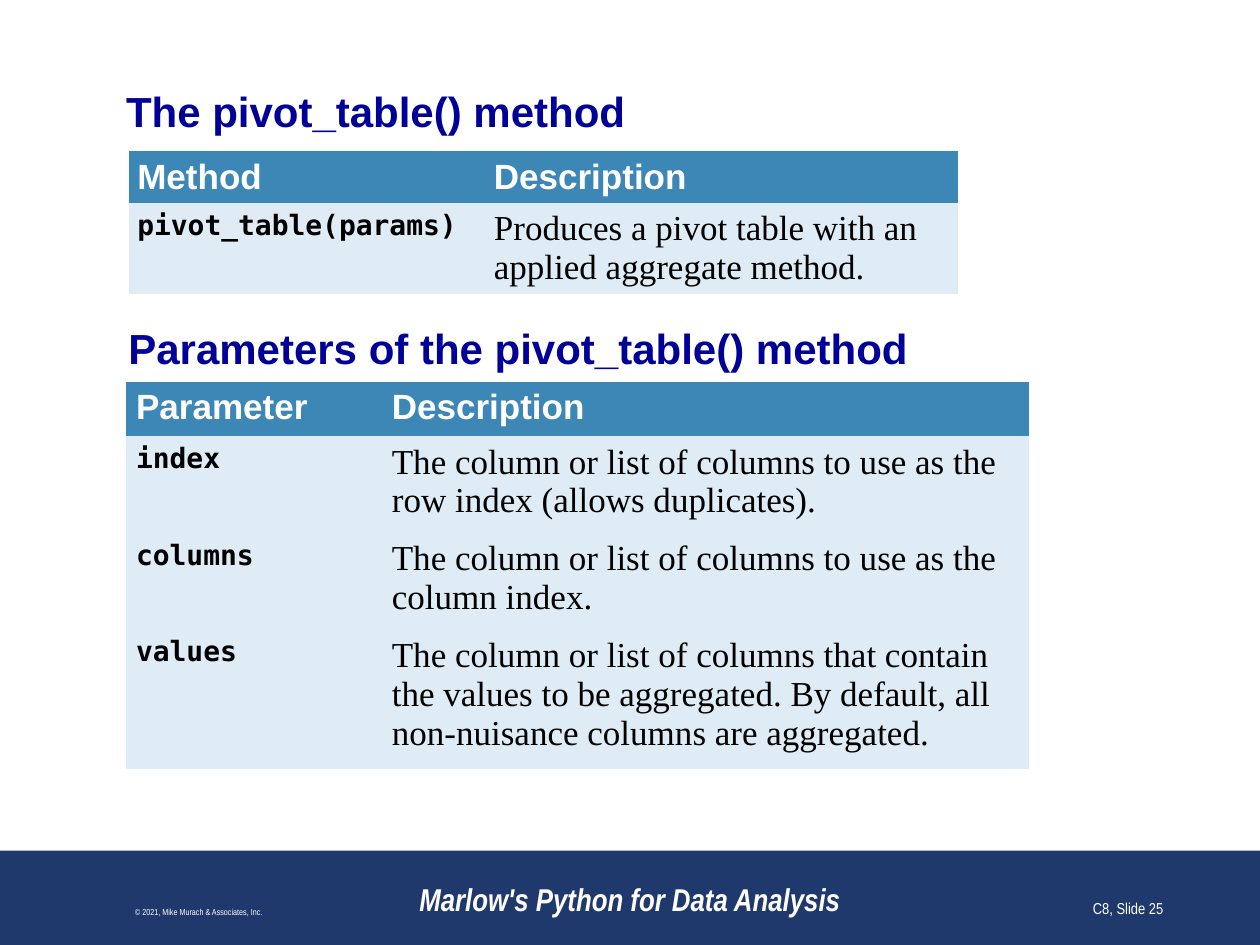
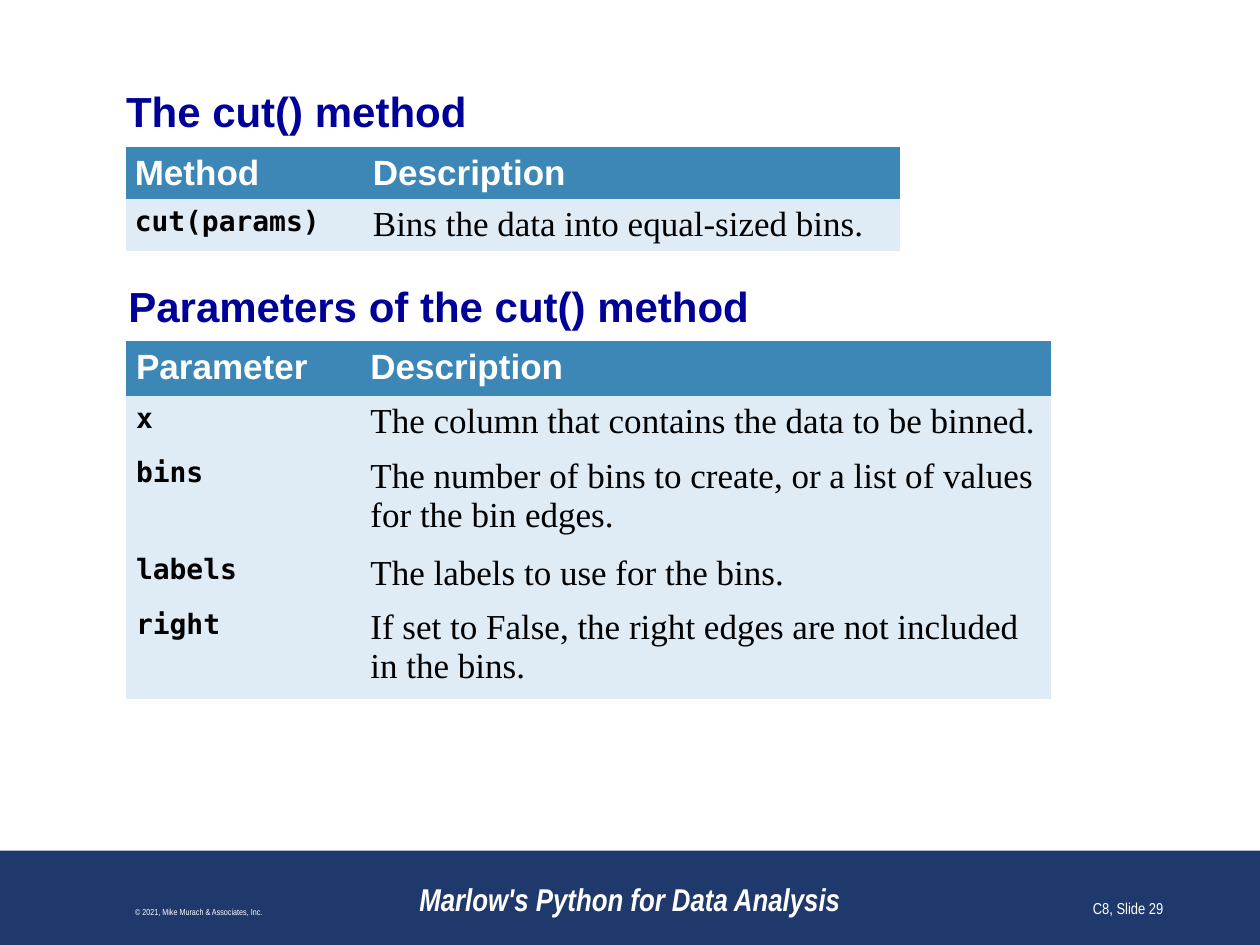
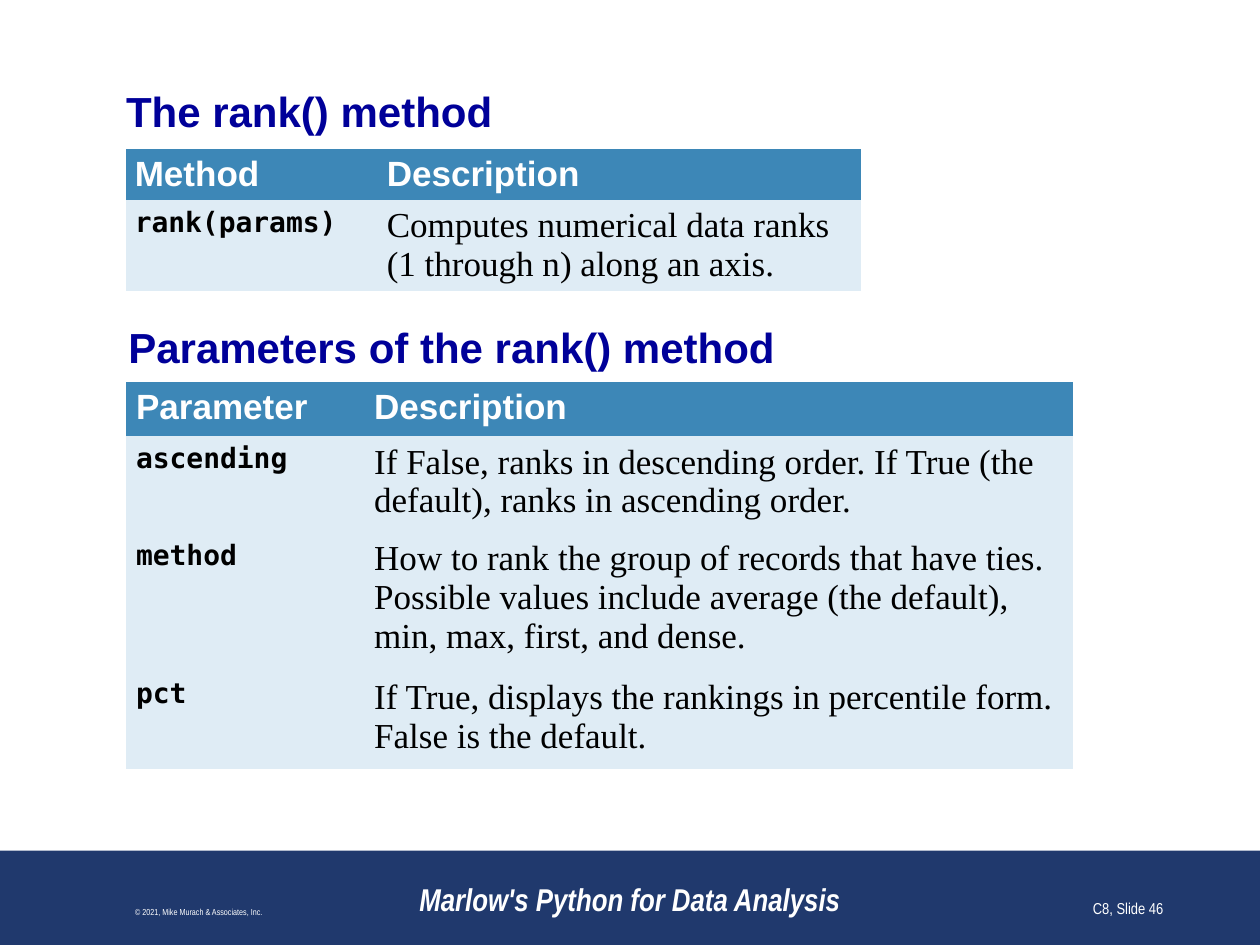
from pptx import Presentation
from pptx.dml.color import RGBColor
from pptx.enum.shapes import MSO_SHAPE
from pptx.enum.text import MSO_ANCHOR, MSO_AUTO_SIZE, PP_ALIGN
from pptx.oxml.ns import qn
from pptx.util import Inches, Pt

NAVY = RGBColor(0x20, 0x39, 0x6D)
HEADING_BLUE = RGBColor(0x00, 0x00, 0x99)
HEADER_BLUE = RGBColor(0x3D, 0x87, 0xB7)
PALE_BLUE = RGBColor(0xDF, 0xEC, 0xF5)
WHITE = RGBColor(0xFF, 0xFF, 0xFF)
BLACK = RGBColor(0x00, 0x00, 0x00)

RECTANGLE = MSO_SHAPE.RECTANGLE
TOP, MIDDLE, BOTTOM = MSO_ANCHOR.TOP, MSO_ANCHOR.MIDDLE, MSO_ANCHOR.BOTTOM
LEFT, CENTER, RIGHT = PP_ALIGN.LEFT, PP_ALIGN.CENTER, PP_ALIGN.RIGHT
NO_AUTOFIT = MSO_AUTO_SIZE.NONE

TITLE_ONLY = 5
PLAIN_TABLE_STYLE = "{2D5ABB26-0587-4C30-8999-92F81FD0307C}"
LINE_HEIGHT = 0.31
CELL_MARGIN_Y = 0.05

HEADING = dict(size=24, color=HEADING_BLUE, bold=True)
HEADER_CELL = dict(size=20, color=WHITE, bold=True)
CODE_CELL = dict(font="DejaVu Sans Mono", size=16, bold=True)
TEXT_CELL = dict(font="Times New Roman", size=20)
FOOTER = dict(font="Arial Narrow", color=WHITE)

SLIDES = [
    dict(
        name="pivot_table()",
        number=25,
        method_at=(1.02, 1.2),
        method_cols=(2.83, 3.75),
        method_row=("pivot_table(params)",
                    "Produces a pivot table with an applied aggregate method.", 2),
        heading_top=2.51,
        params_top=3.03,
        params_cols=(2.03, 5.14),
        params=[
            ("index", "The column or list of columns to use as the row index "
                      "(allows duplicates).", 2),
            ("columns", "The column or list of columns to use as the column index.", 2),
            ("values", "The column or list of columns that contain the values to be "
                       "aggregated. By default, all non-nuisance columns are "
                       "aggregated.", 3),
        ],
    ),
    dict(
        name="cut()",
        number=29,
        method_at=(1, 1.17),
        method_cols=(1.89, 4.25),
        method_row=("cut(params)", "Bins the data into equal-sized bins.", 1),
        heading_top=2.18,
        params_top=2.71,
        params_cols=(1.86, 5.48),
        params=[
            ("x", "The column that contains the data to be binned.", 1),
            ("bins", "The number of bins to create, or a list of values for the "
                     "bin edges.", 2),
            ("labels", "The labels to use for the bins.", 1),
            ("right", "If set to False, the right edges are not included in the "
                      "bins.", 2),
        ],
    ),
    dict(
        name="rank()",
        number=46,
        method_at=(1, 1.18),
        method_cols=(2, 3.83),
        method_row=("rank(params)",
                    "Computes numerical data ranks (1 through n) along an axis.", 2),
        heading_top=2.5,
        params_top=3.03,
        params_cols=(1.89, 5.63),
        params=[
            ("ascending", "If False, ranks in descending order. If True (the "
                          "default), ranks in ascending order.", 2),
            ("method", "How to rank the group of records that have ties. Possible "
                       "values include average (the default), min, max, first, and "
                       "dense.", 3),
            ("pct", "If True, displays the rankings in percentile form. False is "
                    "the default.", 2),
        ],
    ),
]


def write(tf, text, font="Arial", size=20, color=BLACK, bold=False, italic=False,
          align=LEFT):
    tf.word_wrap = True
    p = tf.paragraphs[0]
    p.alignment = align
    r = p.add_run()
    r.text = text
    r.font.name = font
    r.font.size = Pt(size)
    r.font.color.rgb = color
    r.font.bold = bold
    r.font.italic = italic


def add_text(slide, text, left, top, width, height, anchor=TOP, **fmt):
    sp = slide.shapes.add_textbox(
        Inches(left), Inches(top), Inches(width), Inches(height))
    sp.text_frame.vertical_anchor = anchor
    write(sp.text_frame, text, **fmt)
    return sp


def set_title(slide, text):
    sp = slide.shapes.title
    sp.left, sp.top = Inches(1), Inches(0.68)
    sp.width, sp.height = Inches(8), Inches(0.4)
    tf = sp.text_frame
    tf.auto_size = NO_AUTOFIT
    tf.vertical_anchor = MIDDLE
    tf.margin_left = tf.margin_right = tf.margin_top = tf.margin_bottom = 0
    write(tf, text, **HEADING)


def add_subheading(slide, text, top):
    sp = add_text(slide, text, 0.92, top, 8.08, 0.4, **HEADING)
    sp.fill.solid()
    sp.fill.fore_color.rgb = WHITE


def fill_cell(cell, text, fill, margin, **fmt):
    cell.fill.solid()
    cell.fill.fore_color.rgb = fill
    cell.margin_left = cell.margin_right = Inches(margin)
    cell.margin_top = cell.margin_bottom = Inches(CELL_MARGIN_Y)
    write(cell.text_frame, text, **fmt)


def add_reference_table(slide, left, top, cols, label, rows, margin):
    heights = [2 * CELL_MARGIN_Y + LINE_HEIGHT * lines
               for lines in [1] + [row[2] for row in rows]]
    frame = slide.shapes.add_table(
        len(heights), len(cols), Inches(left), Inches(top),
        Inches(sum(cols)), Inches(sum(heights)))
    table = frame.table
    table.horz_banding = False
    frame._element.find(".//" + qn("a:tableStyleId")).text = PLAIN_TABLE_STYLE
    for column, width in zip(table.columns, cols):
        column.width = Inches(width)
    for row, height in zip(table.rows, heights):
        row.height = Inches(height)
    for c, text in enumerate((label, "Description")):
        fill_cell(table.cell(0, c), text, HEADER_BLUE, margin, **HEADER_CELL)
    for i, (code, description, _) in enumerate(rows, start=1):
        fill_cell(table.cell(i, 0), code, PALE_BLUE, margin, **CODE_CELL)
        fill_cell(table.cell(i, 1), description, PALE_BLUE, margin, **TEXT_CELL)


def add_band(slide):
    sp = slide.shapes.add_shape(
        RECTANGLE, 0, Inches(6.75), Inches(10), Inches(0.75))
    sp.shadow.inherit = False
    sp.fill.solid()
    sp.fill.fore_color.rgb = NAVY
    sp.line.fill.background()


def add_footers(slide, number):
    for text, left, width, fmt in (
        ("Marlow's Python for Data Analysis", 3, 4,
         dict(size=18, bold=True, italic=True, align=CENTER)),
        ("© 2021, Mike Murach & Associates, Inc.", 0.08, 3,
         dict(size=5, align=CENTER)),
        (f"C8, Slide {number}", 7.25, 2.08, dict(size=9, align=RIGHT)),
    ):
        add_text(slide, text, left, 6.83, width, 0.5, anchor=BOTTOM, **FOOTER, **fmt)


def add_method_slide(prs, name, number, method_at, method_cols, method_row,
                     heading_top, params_top, params_cols, params):
    slide = prs.slides.add_slide(prs.slide_layouts[TITLE_ONLY])
    add_band(slide)
    set_title(slide, f"The {name} method")
    add_reference_table(slide, *method_at, method_cols, "Method", [method_row], 0.07)
    add_subheading(slide, f"Parameters of the {name} method", heading_top)
    add_reference_table(slide, 1, params_top, params_cols, "Parameter", params, 0.08)
    add_footers(slide, number)


def main():
    prs = Presentation()
    prs.slide_width, prs.slide_height = Inches(10), Inches(7.5)
    for content in SLIDES:
        add_method_slide(prs, **content)
    prs.save("out.pptx")


if __name__ == "__main__":
    main()
